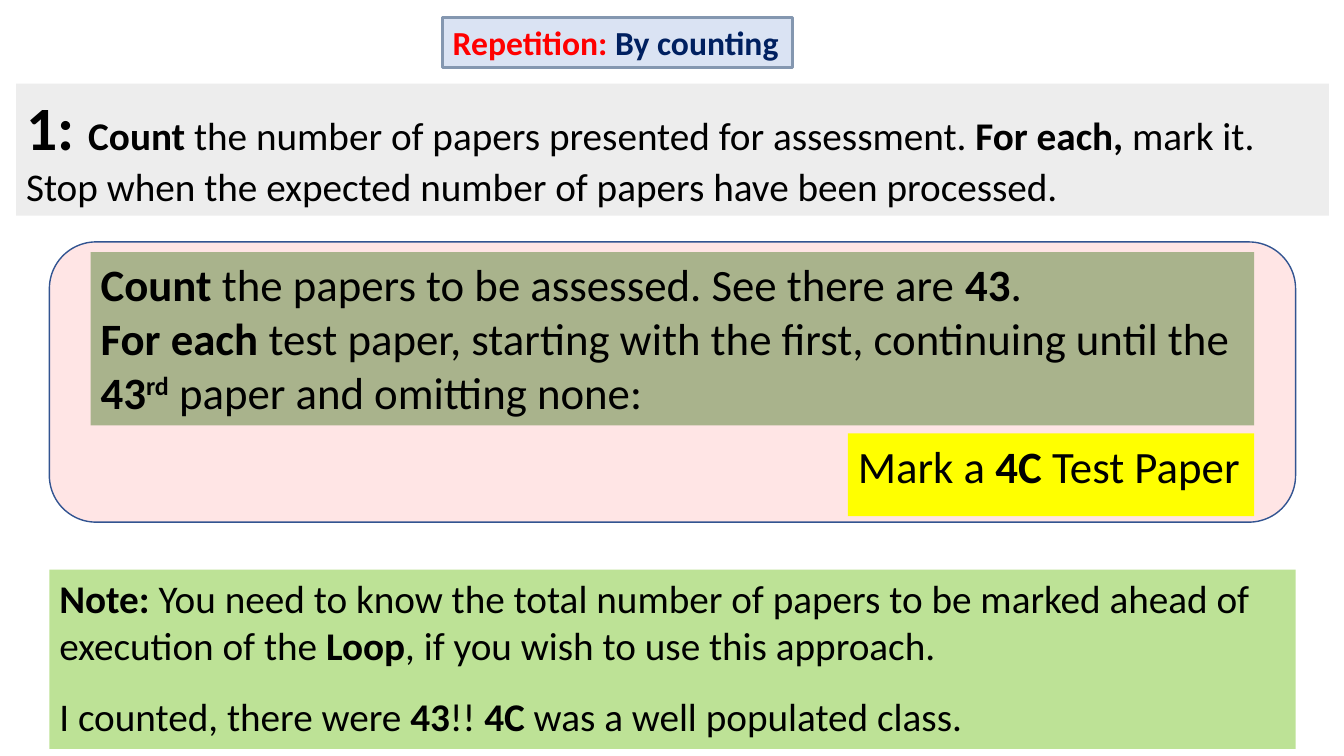
from pptx import Presentation
from pptx.dml.color import RGBColor
from pptx.enum.shapes import MSO_SHAPE
from pptx.enum.text import MSO_ANCHOR, MSO_AUTO_SIZE, PP_ALIGN
from pptx.oxml.ns import qn
from pptx.util import Inches, Pt
from lxml import etree

ROUNDED = MSO_SHAPE.ROUNDED_RECTANGLE
TOP = MSO_ANCHOR.TOP
NO_FIT = MSO_AUTO_SIZE.NONE
LEFT = PP_ALIGN.LEFT


def paint(fill, color, opacity=100):
    fill.solid()
    fill.fore_color.rgb = RGBColor.from_string(color)
    if opacity < 100:
        solid = fill._xPr.find(qn("a:solidFill"))
        etree.SubElement(solid[0], qn("a:alpha"), val=str(opacity * 1000))


def write(p, text, size=28, color="000000", bold=False, raised=False):
    r = p.add_run()
    r.text = text
    r.font.name = "Calibri"
    r.font.size = Pt(size)
    r.font.bold = bold
    paint(r.font.fill, color)
    if raised:
        r.font._element.set("baseline", "30000")


B = {"bold": True}

prs = Presentation()
prs.slide_width = Inches(13.33)
prs.slide_height = Inches(7.5)
s = prs.slides.add_slide(prs.slide_layouts[5])

title = s.shapes.title
title.left, title.top = Inches(4.39), Inches(0.17)
title.width, title.height = Inches(3.47), Inches(0.5)
paint(title.fill, "DAE3F3")
paint(title.line.fill, "8497B0")
title.line.width = Pt(2.25)
tf = title.text_frame
tf.auto_size = NO_FIT
tf.word_wrap = False
tf.vertical_anchor = TOP
p = tf.paragraphs[0]
p.alignment = LEFT
write(p, "Repetition: ", size=24, color="FF0000", bold=True)
write(p, "By counting", size=24, color="002060", bold=True)

loop = s.shapes.add_group_shape()
frame = loop.shapes.add_shape(ROUNDED, Inches(0.49), Inches(2.4), Inches(12.36), Inches(2.78))
frame.shadow.inherit = False
paint(frame.fill, "FF0000", 10)
paint(frame.line.fill, "325491")
frame.line.width = Pt(1)

boxes = [
    (loop.shapes, (0.9, 2.5, 11.54, 1.72), "548235", 50, True, 32, [
        [("Count ", B), ("the papers to be assessed. See there are ", {}), ("43", B), (".", {})],
        [("For each ", B), ("test paper, starting with the first, continuing until the ", {}),
         ("43", B), ("rd", {"bold": True, "raised": True}), (" paper and omitting none:", {})],
    ]),
    (loop.shapes, (8.41, 4.3, 4.03, 0.82), "FFFF00", 100, False, 32, [
        [("Mark a ", {}), ("4C", B), (" Test Paper", {})],
    ]),
    (s.shapes, (0.16, 0.83, 13.02, 1.31), "EDEDED", 100, True, 28, [
        [("1: ", {"bold": True, "size": 44}), ("Count", B),
         (" the number of papers presented for assessment. ", {}), ("For each, ", B),
         ("mark it. Stop when the expected number of papers have been processed.", {})],
    ]),
    (s.shapes, (0.49, 5.65, 12.36, 1.78), "92D050", 60, True, 28, [
        [("Note: ", B), ("You need to know the total number of papers to be marked ahead of "
                         "execution of the ", {}),
         ("Loop", B), (", if you wish to use this approach.", {})],
        [("I counted, there were ", {}), ("43", B), ("!! ", {}), ("4C", B),
         (" was a well populated class.", {})],
    ]),
]

for shapes, place, color, opacity, wrap, size, paragraphs in boxes:
    sp = shapes.add_textbox(*map(Inches, place))
    paint(sp.fill, color, opacity)
    tf = sp.text_frame
    tf.auto_size = NO_FIT
    tf.word_wrap = wrap
    for i, runs in enumerate(paragraphs):
        p = tf.add_paragraph() if i else tf.paragraphs[0]
        for text, style in runs:
            write(p, text, **{"size": size, **style})

p.space_before = Pt(17)

prs.save("out.pptx")
